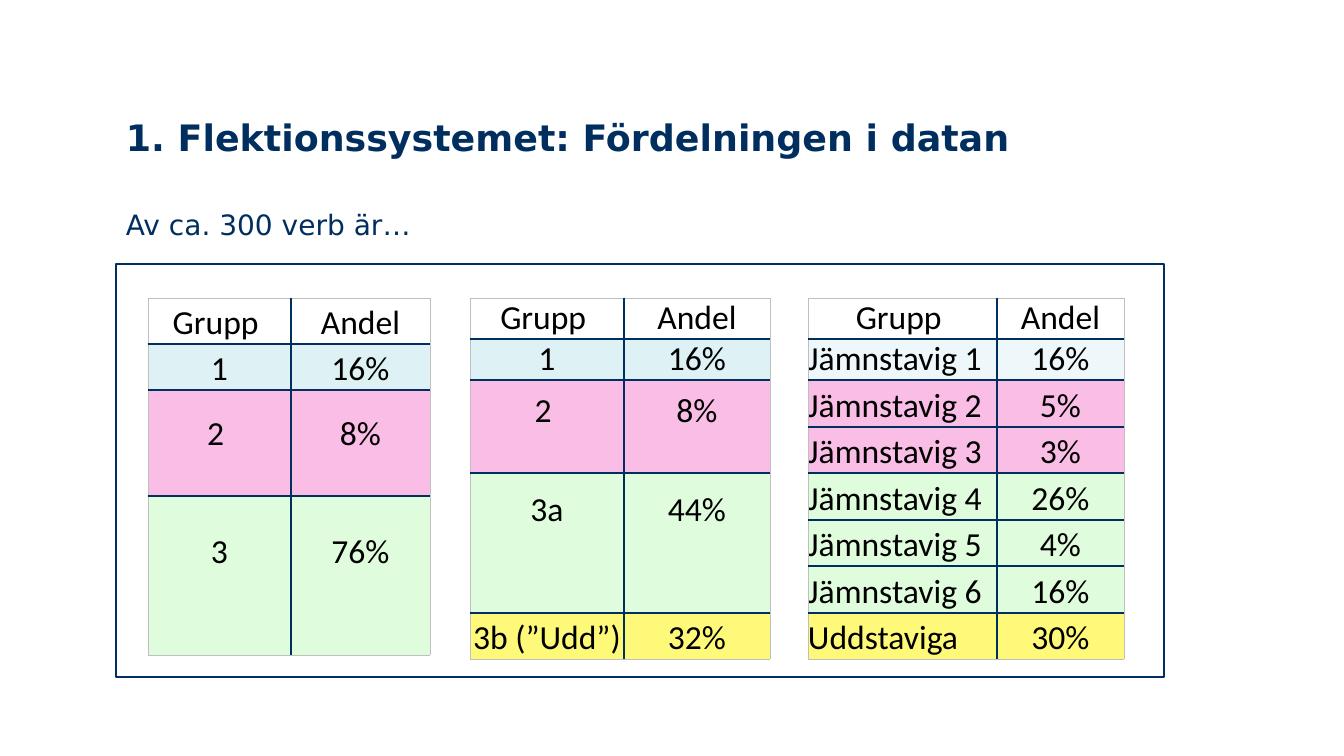
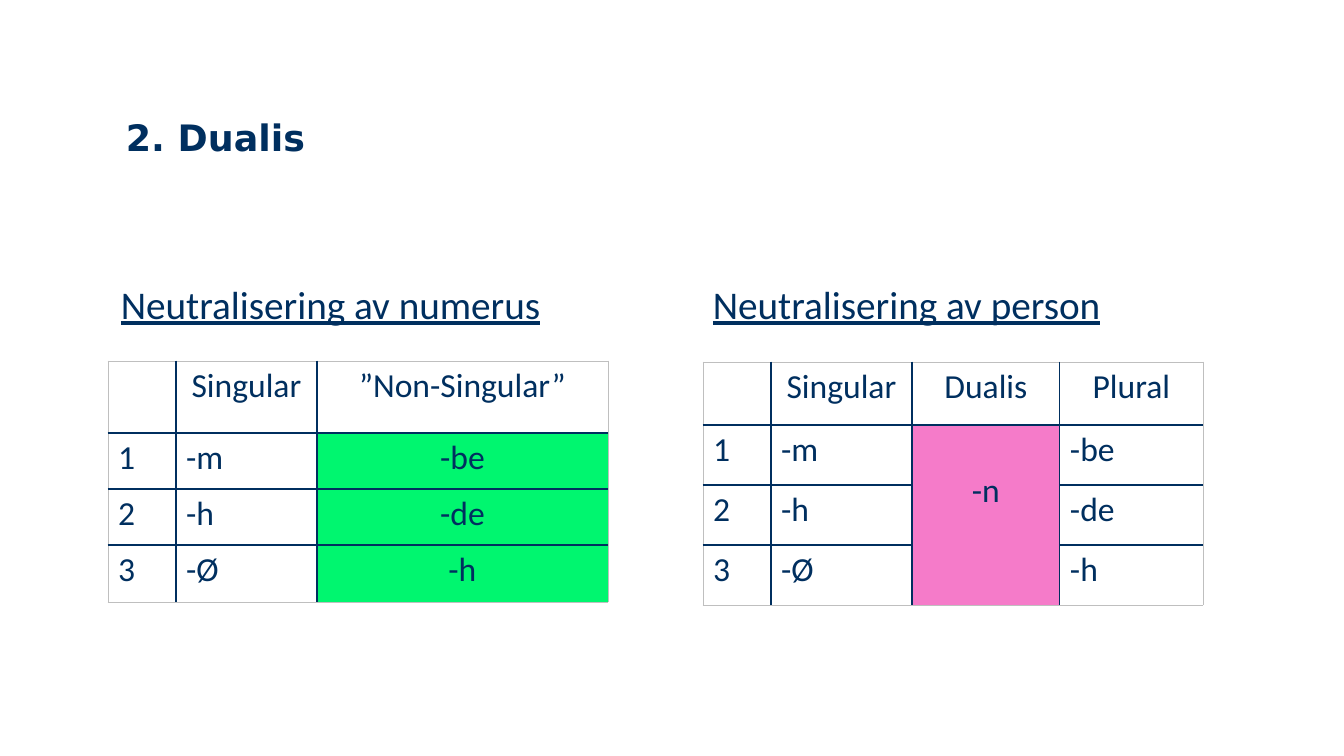
from lxml import etree
from pptx import Presentation
from pptx.dml.color import RGBColor
from pptx.enum.shapes import MSO_SHAPE
from pptx.enum.text import MSO_ANCHOR, PP_ALIGN
from pptx.oxml.ns import qn
from pptx.util import Emu, Pt

RECTANGLE = MSO_SHAPE.RECTANGLE
TOP, BOTTOM = MSO_ANCHOR.TOP, MSO_ANCHOR.BOTTOM
LEFT, CENTER = PP_ALIGN.LEFT, PP_ALIGN.CENTER

NAVY = RGBColor(0x00, 0x2F, 0x5F)
BLACK = RGBColor(0x00, 0x00, 0x00)
WHITE = RGBColor(0xFF, 0xFF, 0xFF)
GREY = RGBColor(0xBF, 0xBF, 0xBF)
BLUE = RGBColor(0xDE, 0xF2, 0xF5)
PALE_BLUE = RGBColor(0xEE, 0xF8, 0xFA)
PINK = RGBColor(0xFA, 0xBE, 0xE6)
MINT = RGBColor(0xDF, 0xFC, 0xDC)
YELLOW = RGBColor(0xFF, 0xF9, 0x79)
GREEN = RGBColor(0x00, 0xF6, 0x6F)
MAGENTA = RGBColor(0xF5, 0x7B, 0xC9)

PX = 914400 / 100.8
TEXT_LINE = 41

TITLE = {"name": "DejaVu Sans", "size": Pt(26), "bold": True}
BODY = {"name": "DejaVu Sans", "size": Pt(20)}
HEADING = {"name": "Calibri", "size": Pt(28), "underline": True}
CELL = {"name": "Calibri", "size": Pt(24), "bold": False}

SHARE_CELL = {"margin_left": 0, "margin_right": 0, "margin_top": 0,
              "margin_bottom": 0, "vertical_anchor": BOTTOM}
FORM_CELL = {"vertical_anchor": TOP}


def px(value):
    return Emu(round(value * PX))


def set_values(target, values):
    for name, value in values.items():
        setattr(target, name, value)


def write(paragraph, text, font, color):
    paragraph.text = text
    set_values(paragraph.font, font)
    paragraph.font.color.rgb = color


def add_text(slide, box, text, font):
    frame = slide.shapes.add_textbox(*map(px, box)).text_frame
    frame.word_wrap = True
    write(frame.paragraphs[0], text, font, NAVY)
    return frame.paragraphs[0]


def add_title(slide, text):
    add_text(slide, (116, 110, 1007, 88), text, TITLE)


def add_frame(slide, box):
    shape = slide.shapes.add_shape(RECTANGLE, *map(px, box))
    shape.shadow.inherit = False
    shape.fill.solid()
    shape.fill.fore_color.rgb = WHITE
    shape.line.color.rgb = NAVY
    shape.line.width = Pt(2)


def set_borders(cell, edges):
    properties = cell._tc.get_or_add_tcPr()
    for tag, outer in edges.items():
        width = Pt(0.5) if outer else Pt(1)
        line = etree.SubElement(properties, qn(f"a:{tag}"), w=str(width))
        fill = etree.SubElement(line, qn("a:solidFill"))
        etree.SubElement(fill, qn("a:srgbClr"), val=str(GREY if outer else NAVY))


def add_table(slide, left, top, columns, rows, cell_format, color, merged_column=None):
    widths = [width for width, _, _ in columns]
    heights = [height for height, _, _, _ in rows]
    box = (left, top, sum(widths), sum(heights))
    table = slide.shapes.add_table(len(rows), len(columns), *map(px, box)).table
    set_values(table, {"first_row": False, "horz_banding": False})
    for column, width in zip(table.columns, widths):
        column.width = px(width)
    for row, height in zip(table.rows, heights):
        row.height = px(height)
    if merged_column is not None:
        table.cell(1, merged_column).merge(table.cell(len(rows) - 1, merged_column))
    for r, (_, row_fill, texts, lift) in enumerate(rows):
        for c, (_, alignment, column_fill) in enumerate(columns):
            cell = table.cell(r, c)
            if cell.is_spanned:
                continue
            last_row = r + (cell.span_height if cell.is_merge_origin else 1) == len(rows)
            set_borders(cell, {"lnL": c == 0, "lnR": c == len(columns) - 1,
                               "lnT": r == 0, "lnB": last_row})
            cell.fill.solid()
            cell.fill.fore_color.rgb = row_fill or column_fill
            set_values(cell, cell_format)
            if lift:
                cell.margin_bottom = px(lift)
            if cell.is_merge_origin:
                cell.margin_top = px(5 + TEXT_LINE)
            paragraph = cell.text_frame.paragraphs[0]
            paragraph.alignment = CENTER if r == 0 else alignment
            write(paragraph, texts[c], CELL, color)


def add_share_table(slide, left, widths, heights, groups, label_alignment=CENTER):
    columns = [(widths[0], label_alignment, WHITE), (widths[1], CENTER, WHITE)]
    entries = [("Grupp ", "Andel", WHITE, 0), *groups]
    rows = [(height, fill, (label, share), lines * TEXT_LINE)
            for height, (label, share, fill, lines) in zip(heights, entries)]
    add_table(slide, left, 298, columns, rows, SHARE_CELL, BLACK)


def add_form_table(slide, left, top, columns, heights, lines, merged_column=None):
    rows = [(height, None if r else WHITE, texts, 0)
            for r, (height, texts) in enumerate(zip(heights, lines))]
    add_table(slide, left, top, columns, rows, FORM_CELL, NAVY, merged_column)


def add_distribution_slide(slide):
    add_title(slide, "1. Flektionssystemet: Fördelningen i datan")
    body = add_text(slide, (116, 196, 1007, 477), "Av ca. 300 verb är…", BODY)
    body.line_spacing = Pt(29)
    add_frame(slide, (116, 264, 1048, 413))
    add_share_table(slide, 148, (143, 139), (46, 46, 106, 159), [
        ("1", "16%", BLUE, 0),
        ("2 ", "8%", PINK, 1),
        ("3", "76%", MINT, 2),
    ])
    add_share_table(slide, 470, (154, 146), (41, 41, 93, 140, 46), [
        ("1", "16%", BLUE, 0),
        ("2 ", "8%", PINK, 1),
        ("3a", "44%", MINT, 2),
        ("3b (”Udd”)", "32%", YELLOW, 0),
    ])
    add_share_table(slide, 808, (189, 127), (41, 41) + (47, 46) * 3, [
        ("Jämnstavig 1", "16%", PALE_BLUE, 0),
        ("Jämnstavig 2", "5%", PINK, 0),
        ("Jämnstavig 3", "3%", PINK, 0),
        ("Jämnstavig 4", "26%", MINT, 0),
        ("Jämnstavig 5", "4%", MINT, 0),
        ("Jämnstavig 6", "16%", MINT, 0),
        ("Uddstaviga", "30%", YELLOW, 0),
    ], LEFT)


def add_dual_slide(slide):
    add_title(slide, "2. Dualis")
    for left, text in ((111, "Neutralisering av numerus"), (703, "Neutralisering av person")):
        add_text(slide, (left, 275, 500, 57), text, HEADING)
    person, singular = (68, LEFT, WHITE), (141, LEFT, WHITE)
    add_form_table(slide, 108, 361, [person, singular, (291, CENTER, GREEN)], (72, 56, 56, 57), [
        ("", "Singular", "”Non-Singular”"),
        ("1", "-m", "-be"),
        ("2", "-h", "-de"),
        ("3", "-Ø", "-h"),
    ])
    columns = [person, singular, (148, CENTER, MAGENTA), (143, LEFT, WHITE)]
    add_form_table(slide, 703, 362, columns, (63, 60, 60, 60), [
        ("", "Singular", "Dualis", "Plural"),
        ("1", "-m", "-n", "-be"),
        ("2", "-h", "", "-de"),
        ("3", "-Ø", "", "-h"),
    ], merged_column=2)


def main():
    presentation = Presentation()
    presentation.slide_width = px(1344)
    presentation.slide_height = px(756)
    for build in (add_distribution_slide, add_dual_slide):
        build(presentation.slides.add_slide(presentation.slide_layouts[6]))
    presentation.save("out.pptx")


if __name__ == "__main__":
    main()
